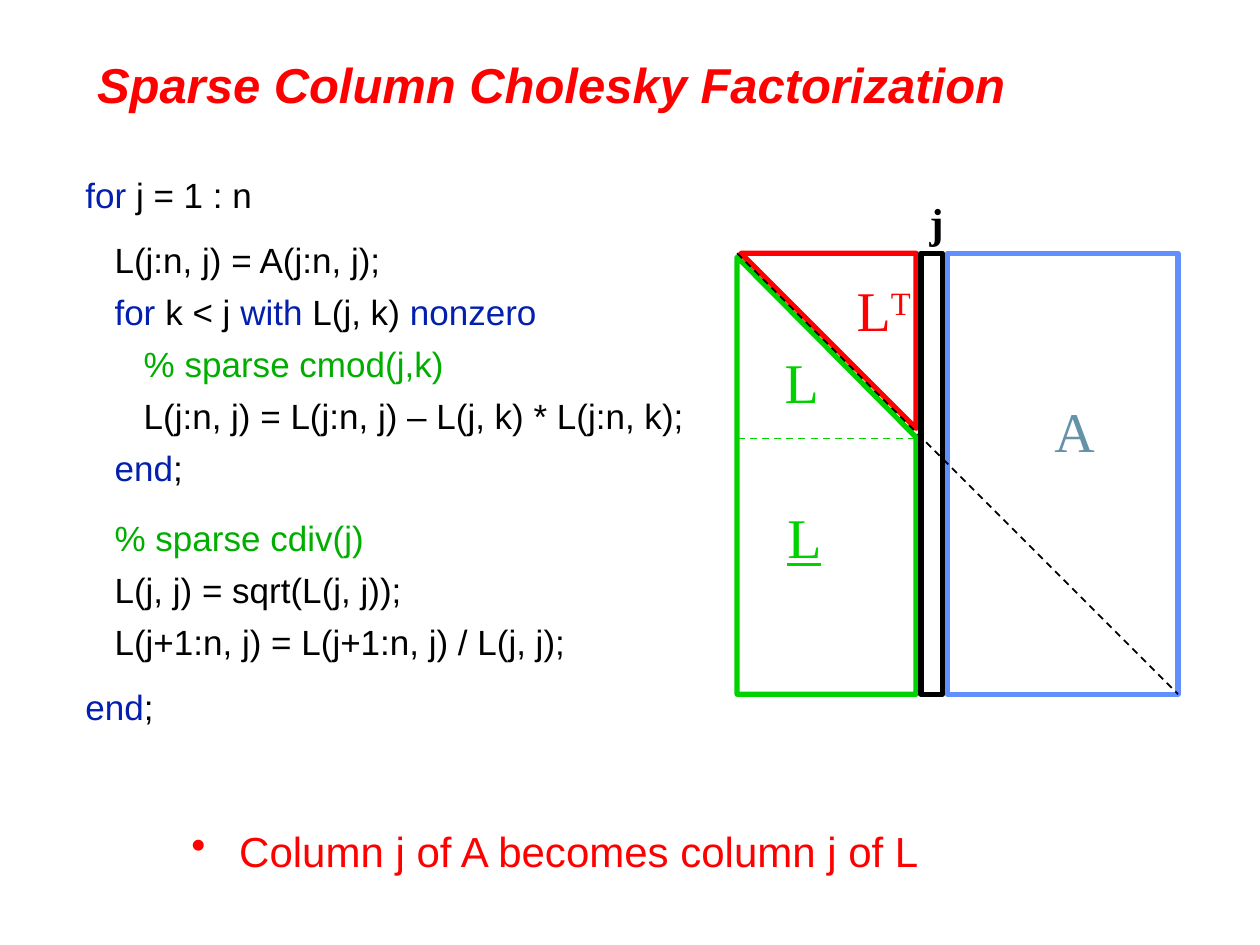
from dataclasses import dataclass

from lxml import etree
from pptx import Presentation
from pptx.dml.color import RGBColor
from pptx.enum.dml import MSO_LINE
from pptx.enum.shapes import MSO_CONNECTOR, MSO_SHAPE
from pptx.enum.text import MSO_ANCHOR, MSO_AUTO_SIZE, PP_ALIGN
from pptx.oxml.ns import qn
from pptx.util import Inches, Pt

COLORS = {
    "red": "FF0000",
    "keyword": "021FAE",
    "comment": "00AE00",
    "black": "000000",
    "green": "00D200",
    "blue": "618FFD",
    "steel": "6591A9",
}
TOP, BOTTOM = 2.01, 5.51


@dataclass
class CodeLine:
    pieces: list[tuple[str, str]]
    space_before: float = 5.75


@dataclass
class Label:
    text: str
    left: float
    top: float
    width: float
    height: float
    color: str
    size: int = 32
    bold: bool = False
    underline: bool = False
    superscript: str = ""


@dataclass
class Block:
    left: float
    width: float
    color: str


@dataclass
class Outline:
    points: list[tuple[float, float]]
    color: str


@dataclass
class Dash:
    start: tuple[float, float]
    end: tuple[float, float]
    color: str


CODE = [
    CodeLine([("for", "keyword"), (" j = 1 : n", "black")], 0),
    CodeLine([("   L(j:n, j) = A(j:n, j);", "black")], 13),
    CodeLine([("   for", "keyword"), (" k < j ", "black"), ("with", "keyword"),
              (" L(j, k) ", "black"), ("nonzero", "keyword")]),
    CodeLine([("      % sparse cmod(j,k)", "comment")]),
    CodeLine([("      L(j:n, j) = L(j:n, j) – L(j, k) * L(j:n, k);", "black")]),
    CodeLine([("   end", "keyword"), (";", "black")]),
    CodeLine([("   % sparse cdiv(j)", "comment")], 15.8),
    CodeLine([("   L(j, j) = sqrt(L(j, j));", "black")]),
    CodeLine([("   L(j+1:n, j) = L(j+1:n, j) / L(j, j);", "black")]),
    CodeLine([("end", "keyword"), (";", "black")], 13),
]
REMAINING = Block(7.52, 1.83, "blue")
CURRENT = Block(7.31, 0.17, "black")
OUTLINES = [
    Outline([(5.85, 2.04), (5.85, BOTTOM), (7.27, BOTTOM), (7.27, 3.47)], "green"),
    Outline([(5.88, TOP), (7.27, TOP), (7.27, 3.4)], "red"),
]
DASHES = [
    Dash((5.85, TOP), (9.35, BOTTOM), "black"),
    Dash((7.26, 3.48), (5.85, 3.48), "green"),
]
LABELS = [
    Label("L", 6.15, 3.94, 0.47, 0.64, "green", underline=True),
    Label("L", 6.13, 2.71, 0.47, 0.64, "green"),
    Label("L", 6.7, 2.14, 0.63, 0.64, "red", superscript="T"),
    Label("A", 8.27, 3.1, 0.52, 0.64, "steel"),
    Label("j", 7.28, 1.51, 0.31, 0.5, "black", size=24, bold=True),
]


def rgb(color: str) -> RGBColor:
    return RGBColor.from_string(COLORS[color])


def style(font, name: str, size: float, color: str) -> None:
    font.name = name
    font.size = Pt(size)
    font.color.rgb = rgb(color)


def stroke(shape, color: str) -> None:
    shape.shadow.inherit = False
    shape.fill.background()
    shape.line.color.rgb = rgb(color)
    shape.line.width = Pt(3)


def add_title(slide, text: str) -> None:
    title = slide.shapes.title
    title.left, title.top = Inches(0.67), Inches(0.33)
    title.width, title.height = Inches(8.19), Inches(0.67)
    frame = title.text_frame
    frame.text = text
    frame.vertical_anchor = MSO_ANCHOR.MIDDLE
    frame.auto_size = MSO_AUTO_SIZE.NONE
    heading = frame.paragraphs[0]
    heading.alignment = PP_ALIGN.LEFT
    font = heading.runs[0].font
    style(font, "Arial", 28, "red")
    font.bold = font.italic = True


def add_code(slide, lines: list[CodeLine]) -> None:
    frame = slide.shapes.add_textbox(
        Inches(0.58), Inches(1.33), Inches(5), Inches(5.17)).text_frame
    frame.word_wrap = True
    for index, line in enumerate(lines):
        paragraph = frame.add_paragraph() if index else frame.paragraphs[0]
        paragraph.space_before = Pt(line.space_before)
        for text, color in line.pieces:
            run = paragraph.add_run()
            run.text = text
            style(run.font, "Arial", 20, color)


def add_conclusion(slide, text: str) -> None:
    frame = slide.shapes.add_textbox(
        Inches(1.42), Inches(6.5), Inches(7.42), Inches(0.75)).text_frame
    frame.word_wrap = True
    frame.text = text
    paragraph = frame.paragraphs[0]
    properties = paragraph._p.get_or_add_pPr()
    properties.set("marL", str(Inches(0.38)))
    properties.set("indent", str(-Inches(0.38)))
    etree.SubElement(properties, qn("a:buChar")).set("char", "•")
    style(paragraph.runs[0].font, "Arial", 24, "red")


def add_block(slide, block: Block) -> None:
    stroke(slide.shapes.add_shape(
        MSO_SHAPE.RECTANGLE, Inches(block.left), Inches(TOP),
        Inches(block.width), Inches(BOTTOM - TOP)), block.color)


def add_outline(slide, outline: Outline) -> None:
    first, *rest = [(Inches(x), Inches(y)) for x, y in outline.points]
    builder = slide.shapes.build_freeform(*first)
    builder.add_line_segments(rest, close=True)
    stroke(builder.convert_to_shape(), outline.color)


def add_dash(slide, dash: Dash) -> None:
    ends = [Inches(value) for value in dash.start + dash.end]
    connector = slide.shapes.add_connector(MSO_CONNECTOR.STRAIGHT, *ends)
    connector.line.color.rgb = rgb(dash.color)
    connector.line.width = Pt(1)
    connector.line.dash_style = MSO_LINE.DASH
    etree.SubElement(connector._element.spPr, qn("a:effectLst"))


def add_label(slide, label: Label) -> None:
    frame = slide.shapes.add_textbox(
        Inches(label.left), Inches(label.top),
        Inches(label.width), Inches(label.height)).text_frame
    frame.word_wrap = False
    frame.auto_size = MSO_AUTO_SIZE.SHAPE_TO_FIT_TEXT
    frame.text = label.text
    paragraph = frame.paragraphs[0]
    if label.superscript:
        exponent = paragraph.add_run()
        exponent.text = label.superscript
        exponent.font._element.set("baseline", "30000")
    for run in paragraph.runs:
        style(run.font, "Times New Roman", label.size, label.color)
        run.font.bold = label.bold
        run.font.underline = label.underline


def main() -> None:
    deck = Presentation()
    deck.slide_width, deck.slide_height = Inches(10), Inches(7.5)
    slide = deck.slides.add_slide(deck.slide_layouts[5])
    add_title(slide, "Sparse Column Cholesky Factorization")
    add_code(slide, CODE)
    add_conclusion(slide, "Column j of A becomes column j of L")
    add_block(slide, REMAINING)
    for outline in OUTLINES:
        add_outline(slide, outline)
    add_block(slide, CURRENT)
    for dash in DASHES:
        add_dash(slide, dash)
    for label in LABELS:
        add_label(slide, label)
    deck.save("out.pptx")


if __name__ == "__main__":
    main()
